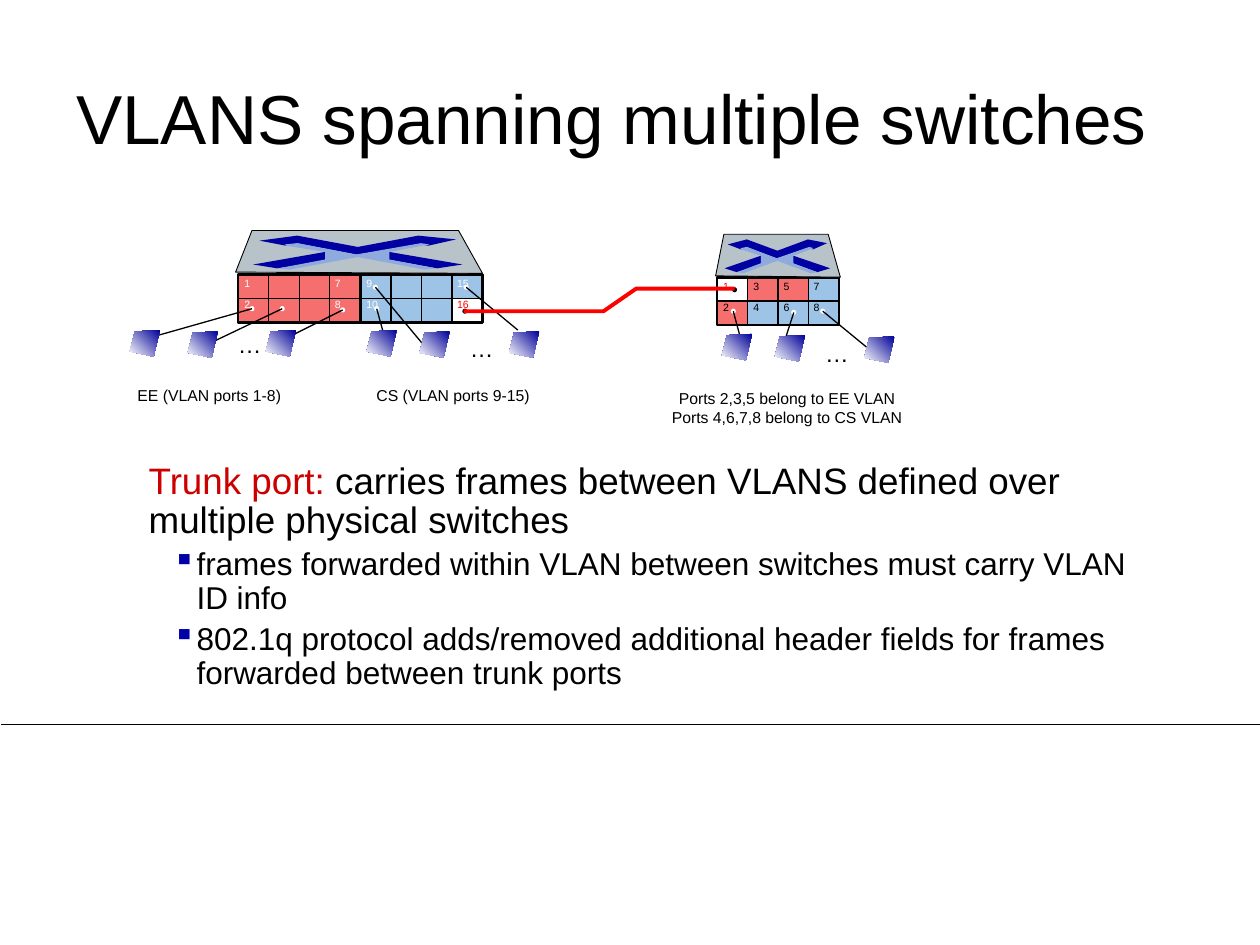
from dataclasses import dataclass

import pptx
import pptx.dml.color
import pptx.enum.shapes
import pptx.enum.text
import pptx.oxml.ns
import pptx.util
from lxml import etree
from pptx.util import Inches, Pt

RGB = pptx.dml.color.RGBColor.from_string
SHAPE = pptx.enum.shapes.MSO_SHAPE
ALIGN = pptx.enum.text.PP_ALIGN


@dataclass(frozen=True)
class Theme:
    font: str = "Arial"
    black: str = "000000"
    white: str = "FFFFFF"
    ee: str = "F56F6F"
    cs: str = "9DC3E6"
    trunk: str = "FF0000"
    term: str = "CC0000"
    lid: str = "B8C2C9"
    arrow: str = "0000A3"
    arrow_side: str = "8FAADC"
    bullet: str = "0000A8"
    host: str = "000099"
    title_size: float = 39.6
    lead_size: float = 21
    point_size: float = 18
    dots_size: float = 13.5
    caption_size: float = 9
    port_size: float = 6


THEME = Theme()
BANK_WIDTH, BANK_HEIGHT, COLUMNS = 0.97, 0.38, 4
LABEL_PITCH = 0.24

# Switch top, relative to its left top corner at full width
LID = [(0, 0.33), (0.13, 0), (1.77, 0), (1.96, 0.34)]
UPPER_ARROWS = [(1.45, 0.04), (1.75, 0.07), (1.53, 0.12), (1.47, 0.11), (0.96, 0.19),
                (0.49, 0.1), (0.4, 0.12), (0.19, 0.08), (0.49, 0.04), (0.97, 0.13)]
RIGHT_ARROW = [(1.22, 0.17), (1.8, 0.27), (1.6, 0.3), (1.21, 0.23)]
LEFT_ARROW = [(0.71, 0.17), (0.72, 0.24), (0.33, 0.3), (0.14, 0.27)]
ARROW_SIDES = [(0.39, 0.11), (0.49, 0.1), (0.96, 0.19), (1.47, 0.1), (1.54, 0.11),
               (1.22, 0.17), (1.22, 0.23), (1.59, 0.3), (1.5, 0.31), (0.97, 0.21),
               (0.43, 0.31), (0.34, 0.3), (0.71, 0.23), (0.71, 0.17), (0.4, 0.12)]
HOST = [(0.24, 0), (0.04, 0.01), (0, 0.17), (0.19, 0.21)]

# Port point, cable end at the host, left top corner of the host
LINKS = [
    ((2, 2.45), (1.26, 2.66), (1.03, 2.62)),
    ((2.24, 2.45), (1.57, 2.77), (1.49, 2.63)),
    ((2.72, 2.46), (2.16, 2.74), (2.11, 2.62)),
    ((2.99, 2.45), (3.07, 2.74), (2.91, 2.62)),
    ((2.98, 2.28), (3.38, 2.76), (3.33, 2.63)),
    ((3.7, 2.28), (4.11, 2.62), (4.04, 2.63)),
    ((5.82, 2.47), (5.9, 2.77), (5.73, 2.65)),
    ((6.3, 2.48), (6.2, 2.79), (6.15, 2.66)),
    ((6.53, 2.47), (6.92, 2.79), (6.86, 2.67)),
]
TRUNK = [(3.68, 2.47), (4.79, 2.47), (5.05, 2.29), (5.83, 2.29)]


def paint(shape, fill=None, line=None, weight=0.75):
    shape.shadow.inherit = False
    if fill:
        shape.fill.solid()
        shape.fill.fore_color.rgb = RGB(fill)
    else:
        shape.fill.background()
    if line:
        shape.line.color.rgb = RGB(line)
        shape.line.width = Pt(weight)
    else:
        shape.line.fill.background()


def block(slide, kind, left, top, width, height, **style):
    shape = slide.shapes.add_shape(kind, *map(Inches, (left, top, width, height)))
    paint(shape, **style)
    return shape


def outline(shapes, points, close=True, **style):
    corners = [(Inches(x), Inches(y)) for x, y in points]
    builder = shapes.build_freeform(*corners[0])
    builder.add_line_segments(corners[1:], close=close)
    shape = builder.convert_to_shape()
    paint(shape, **style)
    return shape


def line(slide, start, end, weight=0.75):
    connector = slide.shapes.add_connector(
        pptx.enum.shapes.MSO_CONNECTOR.STRAIGHT, *map(Inches, (*start, *end)))
    connector.line.color.rgb = RGB(THEME.black)
    connector.line.width = Pt(weight)
    properties = connector._element.spPr
    etree.SubElement(properties, pptx.oxml.ns.qn("a:effectLst"))
    return connector


def style_font(font, size, color):
    font.name, font.size = THEME.font, Pt(size)
    font.color.rgb = RGB(color)


def label(slide, box, lines, size, color=THEME.black, align=ALIGN.LEFT):
    frame = slide.shapes.add_textbox(*map(Inches, box)).text_frame
    frame.word_wrap = False
    frame.auto_size = pptx.enum.text.MSO_AUTO_SIZE.SHAPE_TO_FIT_TEXT
    frame.text = "\n".join(lines)
    for paragraph in frame.paragraphs:
        paragraph.alignment = align
        style_font(paragraph.font, size, color)


def port_dot(slide, x, y, color):
    block(slide, SHAPE.OVAL, x - 0.02, y - 0.02, 0.04, 0.04, fill=color)


def port_bank(slide, left, top, zones, ports, color, first=1, trunk=None):
    """Draw eight ports; zones are (column, row, columns, rows, fill)."""
    cell_width, cell_height = BANK_WIDTH / COLUMNS, BANK_HEIGHT / 2
    for column, row, columns, rows, fill in zones:
        block(slide, SHAPE.RECTANGLE, left + column * cell_width, top + row * cell_height,
              columns * cell_width, rows * cell_height, fill=fill)
    frame = block(slide, SHAPE.RECTANGLE, left, top, BANK_WIDTH, BANK_HEIGHT,
                  line=THEME.black, weight=1.5)
    middle, bottom = top + cell_height, top + BANK_HEIGHT
    divider = line(slide, (left, middle), (left + BANK_WIDTH, middle))
    divider.begin_connect(frame, 1)
    divider.end_connect(frame, 3)
    for column in range(1, COLUMNS):
        x = left + column * cell_width
        divider = line(slide, (x, top), (x, bottom))
        if column == COLUMNS / 2:
            divider.begin_connect(frame, 0)
            divider.end_connect(frame, 2)
    for port in ports:
        column, row = divmod(port - first, 2)
        box = (left - 0.05 + column * LABEL_PITCH, top + (0.14 if row else -0.03),
               0.25 if port < 10 else 0.3, 0.2)
        label(slide, box, [str(port)], THEME.port_size,
              THEME.trunk if port == trunk else color)


def switch_top(slide, left, top, stretch=1.0):
    group = slide.shapes.add_group_shape()
    parts = [(LID, THEME.lid, THEME.black), (UPPER_ARROWS, THEME.arrow, None),
             (RIGHT_ARROW, THEME.arrow, None), (LEFT_ARROW, THEME.arrow, None),
             (ARROW_SIDES, THEME.arrow_side, None)]
    for points, fill, edge in parts:
        placed = [(left + x * stretch, top + y) for x, y in points]
        outline(group.shapes, placed, fill=fill, line=edge, weight=0.5)


def host(slide, left, top):
    screen = outline(slide.shapes, [(left + x, top + y) for x, y in HOST])
    screen.fill.gradient()
    screen.fill.gradient_angle = 225
    for stop, position, color in zip(screen.fill.gradient_stops, (0, 1),
                                     (THEME.host, THEME.white)):
        stop.position = position
        stop.color.rgb = RGB(color)


def add_title(slide, text):
    title = slide.shapes.title
    title.left, title.top, title.width, title.height = map(Inches, (0.46, 0.6, 8.79, 0.73))
    title.text_frame.text = text
    title.text_frame.vertical_anchor = pptx.enum.text.MSO_ANCHOR.MIDDLE
    paragraph = title.text_frame.paragraphs[0]
    paragraph.alignment, paragraph.line_spacing = ALIGN.CENTER, 0.9
    style_font(paragraph.font, THEME.title_size, THEME.black)


def add_bullet(paragraph):
    properties = paragraph._p.get_or_add_pPr()
    properties.set("marL", str(Inches(0.38)))
    properties.set("indent", str(Inches(-0.19)))
    qn = pptx.oxml.ns.qn
    color = etree.SubElement(properties, qn("a:buClr"))
    etree.SubElement(color, qn("a:srgbClr"), val=THEME.bullet)
    etree.SubElement(properties, qn("a:buChar"), char="▪")


def explanation(slide, term, meaning, points):
    frame = slide.shapes.add_textbox(*map(Inches, (1.11, 3.63, 8.19, 2.2))).text_frame
    frame.word_wrap = True
    frame.margin_left = frame.margin_right = Inches(0.07)
    frame.margin_top = frame.margin_bottom = Inches(0.04)
    lead = frame.paragraphs[0]
    lead.line_spacing = 0.9
    for text, color in ((term, THEME.term), (meaning, THEME.black)):
        run = lead.add_run()
        run.text = text
        style_font(run.font, THEME.lead_size, color)
    for point in points:
        paragraph = frame.add_paragraph()
        paragraph.text, paragraph.level = point, 1
        add_bullet(paragraph)
        paragraph.line_spacing, paragraph.space_before = 0.9, Pt(3.8)
        style_font(paragraph.font, THEME.point_size, THEME.black)


def main():
    deck = pptx.Presentation()
    deck.slide_width, deck.slide_height = Inches(10), Inches(7.5)
    slide = deck.slides.add_slide(deck.slide_layouts.get_by_name("Title Only"))
    line(slide, (0.01, 5.75), (10, 5.75), 0.5)
    add_title(slide, "VLANS spanning multiple switches")

    ee, cs = THEME.ee, THEME.cs
    port_bank(slide, 1.89, 2.18, [(0, 0, 4, 2, ee)], (1, 2, 7, 8), THEME.white)
    port_bank(slide, 2.86, 2.18, [(0, 0, 3, 2, cs), (3, 0, 1, 1, cs)],
              (9, 10, 15, 16), THEME.white, first=9, trunk=16)
    port_bank(slide, 5.69, 2.2, [(0, 1, 1, 1, ee), (1, 0, 2, 1, ee), (1, 1, 3, 1, cs),
                                 (3, 0, 1, 1, cs)], range(1, 9), THEME.black, trunk=1)
    switch_top(slide, 1.87, 1.83)
    switch_top(slide, 5.68, 1.86, 0.505)

    for port, cable_end, corner in LINKS:
        port_dot(slide, *port, THEME.white)
        line(slide, port, cable_end)
        host(slide, *corner)
    for x, y in ((3.69, 2.47), (5.83, 2.3)):
        port_dot(slide, x, y, THEME.black)
    outline(slide.shapes, TRUNK, close=False, line=THEME.trunk, weight=2.25)

    for left, top in ((1.79, 2.57), (3.63, 2.6), (6.45, 2.64)):
        label(slide, (left, top, 0.39, 0.33), ["…"], THEME.dots_size)
    captions = [
        ((0.95, 3.01, 1.42, 0.25), ["EE (VLAN ports 1-8)"]),
        ((2.54, 3.01, 2.11, 0.25), ["CS (VLAN ports 9-15)"]),
        ((5.22, 3.04, 2.05, 0.4),
         ["Ports 2,3,5 belong to EE VLAN", "Ports 4,6,7,8 belong to CS VLAN"]),
    ]
    for box, lines in captions:
        label(slide, box, lines, THEME.caption_size, align=ALIGN.CENTER)
    explanation(slide, "Trunk port: ",
                "carries frames between VLANS defined over multiple physical switches",
                ["frames forwarded within VLAN between switches must carry VLAN ID info",
                 "802.1q protocol adds/removed additional header fields for frames "
                 "forwarded between trunk ports"])
    deck.save("out.pptx")


if __name__ == "__main__":
    main()
